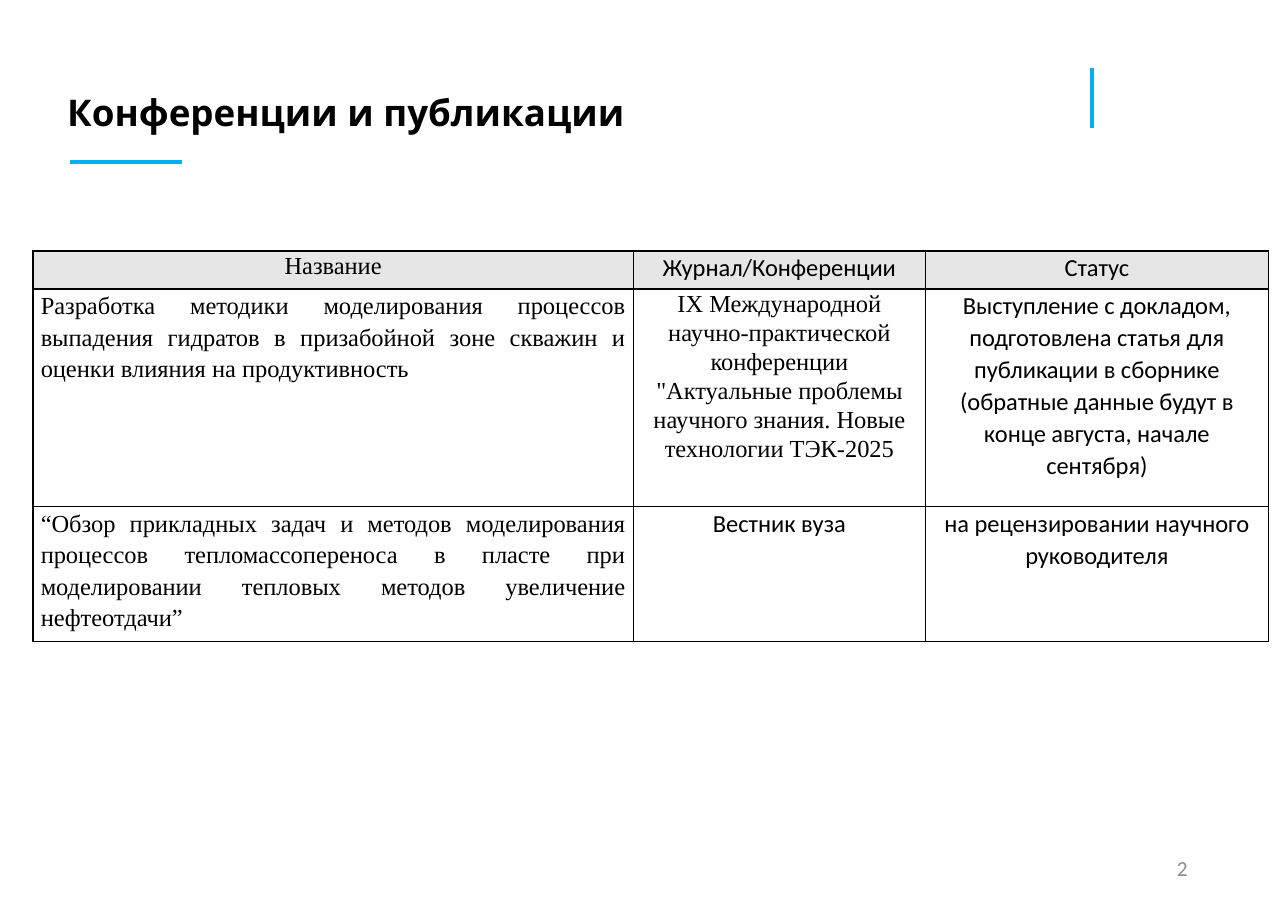
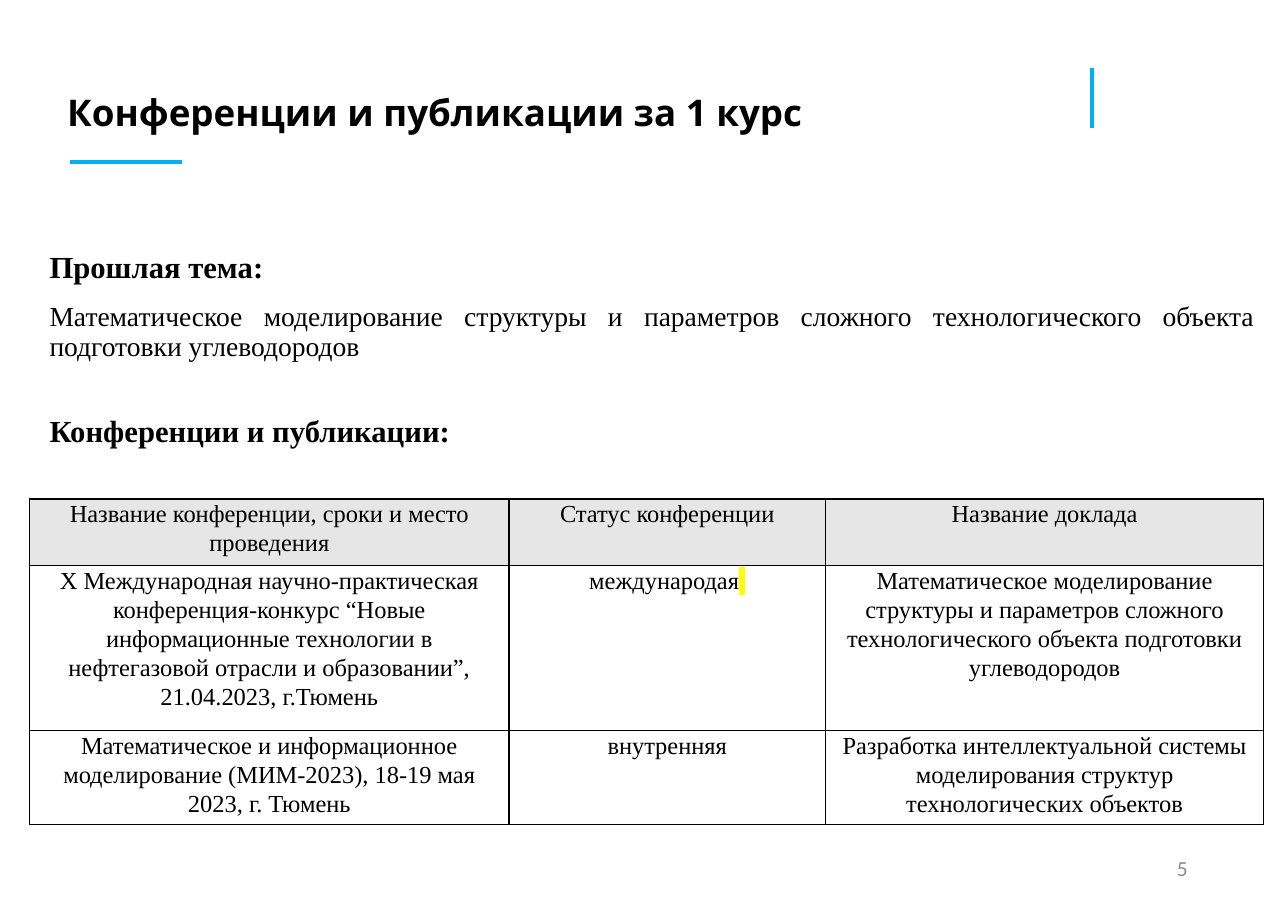
from lxml import etree
from pptx import Presentation
from pptx.dml.color import RGBColor
from pptx.enum.shapes import MSO_CONNECTOR
from pptx.enum.text import MSO_ANCHOR, PP_ALIGN
from pptx.oxml.ns import qn
from pptx.util import Inches, Pt

STRAIGHT = MSO_CONNECTOR.STRAIGHT
TOP, MIDDLE = MSO_ANCHOR.TOP, MSO_ANCHOR.MIDDLE
LEFT, CENTER, RIGHT, JUSTIFY = (
    PP_ALIGN.LEFT, PP_ALIGN.CENTER, PP_ALIGN.RIGHT, PP_ALIGN.JUSTIFY)

WIDTH, HEIGHT = Inches(11.69), Inches(8.27)
COLORS = {"text": "000000", "accent": "00B0F0", "header": "E7E6E6",
          "body": "FFFFFF", "number": "8C8C8C", "marker": "FFFF00"}
SERIF, SANS, DISPLAY = "Times New Roman", "Calibri", "Open Sans"


def style(name, size, bold=False, color="text", **para):
    """Pair the font values of a paragraph with its layout values."""
    return {"font": {"name": name, "size": Pt(size), "bold": bold},
            "color": color, "para": para}


TIGHT = {"line_spacing": 0.9, "space_before": Pt(11.4)}
CELL = {"alignment": CENTER, "line_spacing": 1.07, "space_after": Pt(8)}
TITLE = style(DISPLAY, 24, True, alignment=LEFT, **TIGHT)
HEADING = style(SERIF, 20, True, alignment=JUSTIFY, **TIGHT)
BODY = style(SERIF, 18, alignment=JUSTIFY, **TIGHT)
NUMBER = style(SANS, 14, color="number", alignment=RIGHT)
CELL_SERIF = style(SERIF, 16, **CELL)
CELL_SANS = style(SANS, 16, **CELL)
CELL_TOPIC = style(SERIF, 16, alignment=JUSTIFY, line_spacing=1.15,
                   space_after=Pt(10))


def col(n):
    """Length of n columns; the slide is 100 columns wide."""
    return round(WIDTH * n / 100)


def row(n):
    """Length of n rows; the slide is 100 rows high."""
    return round(HEIGHT * n / 100)


def rgb(key):
    return RGBColor.from_string(COLORS[key])


def set_all(obj, values):
    for name, value in values.items():
        setattr(obj, name, value)


def add_run(p, text, fmt):
    r = p.add_run()
    r.text = text
    set_all(r.font, fmt["font"])
    r.font.color.rgb = rgb(fmt["color"])
    return r


def write(tf, paragraphs):
    """Fill a text frame with (text, style) paragraphs."""
    for i, (text, fmt) in enumerate(paragraphs):
        p = tf.paragraphs[0] if i == 0 else tf.add_paragraph()
        set_all(p, fmt["para"])
        add_run(p, text, fmt)


def highlight(r, key):
    mark = etree.Element(qn("a:highlight"))
    etree.SubElement(mark, qn("a:srgbClr"), val=COLORS[key])
    r.font._element.find(qn("a:solidFill")).addnext(mark)


def add_text(s, x, y, w, h, paragraphs, anchor=TOP):
    tf = s.shapes.add_textbox(col(x), row(y), col(w), row(h)).text_frame
    set_all(tf, {"word_wrap": True, "vertical_anchor": anchor,
                 "margin_left": Inches(0.11), "margin_right": Inches(0.11),
                 "margin_top": Inches(0.06), "margin_bottom": Inches(0.06)})
    write(tf, paragraphs)


def add_rule(s, x1, y1, x2, y2, weight):
    sp = s.shapes.add_connector(STRAIGHT, col(x1), row(y1), col(x2), row(y2))
    sp.line.color.rgb = rgb("accent")
    sp.line.width = Pt(weight)
    etree.SubElement(sp._element.spPr, qn("a:effectLst"))


def set_borders(cell):
    props = cell._tc.get_or_add_tcPr()
    for i, side in enumerate(("lnL", "lnR", "lnT", "lnB")):
        ln = etree.Element(qn(f"a:{side}"), w=str(Pt(1)))
        fill = etree.SubElement(ln, qn("a:solidFill"))
        etree.SubElement(fill, qn("a:srgbClr"), val=COLORS["text"])
        props.insert(i, ln)


def add_table(s, x, y, widths, heights, rows):
    """Add a bordered table of (text, style) cells under a grey header."""
    table = s.shapes.add_table(len(heights), len(widths), col(x), row(y),
                               col(sum(widths)), row(sum(heights))).table
    set_all(table, {"first_row": False, "horz_banding": False})
    for column, w in zip(table.columns, widths):
        column.width = col(w)
    for i, (line, h) in enumerate(zip(rows, heights)):
        table.rows[i].height = row(h)
        for j, content in enumerate(line):
            cell = table.cell(i, j)
            set_all(cell, {"margin_left": Inches(0.07),
                           "margin_right": Inches(0.07),
                           "margin_top": 0, "margin_bottom": 0})
            cell.fill.solid()
            cell.fill.fore_color.rgb = rgb("body" if i else "header")
            set_borders(cell)
            write(cell.text_frame, [content])
    return table


def add_slide(prs, title, number):
    """Add a slide with the shared title, rules and page number."""
    s = prs.slides.add_slide(prs.slide_layouts[6])
    add_rule(s, 5.47, 17.78, 14.11, 17.78, 3)
    add_rule(s, 84.77, 7.5, 84.77, 14.03, 2.25)
    add_text(s, 4.28, 9.67, 61.6, 6.77, [(title, TITLE)])
    add_text(s, 70.66, 92.62, 22.5, 5.32, [(number, NUMBER)], MIDDLE)
    return s


def current_work(prs):
    s = add_slide(prs, "Конференции и публикации", "2")
    add_table(s, 2.57, 27.57, (46.6, 22.7, 26.6), (4.15, 23.9, 13.7), [
        [("Название", CELL_SERIF),
         ("Журнал/Конференции", CELL_SANS),
         ("Статус", CELL_SANS)],
        [("Разработка методики моделирования процессов выпадения гидратов "
          "в призабойной зоне скважин и оценки влияния на продуктивность",
          CELL_TOPIC),
         ("IX Международной научно-практической конференции \"Актуальные "
          "проблемы научного знания. Новые технологии ТЭК-2025", CELL_SERIF),
         ("Выступление с докладом, подготовлена статья для публикации в "
          "сборнике (обратные данные будут в конце августа, начале "
          "сентября)", CELL_SANS)],
        [("“Обзор прикладных задач и методов моделирования процессов "
          "тепломассопереноса в пласте при моделировании тепловых методов "
          "увеличение нефтеотдачи”", CELL_TOPIC),
         ("Вестник вуза", CELL_SANS),
         ("на рецензировании научного руководителя", CELL_SANS)],
    ])


def first_year(prs):
    s = add_slide(prs, "Конференции и публикации за 1 курс", "5")
    topic = ("Математическое моделирование структуры и параметров сложного "
             "технологического объекта подготовки углеводородов")
    add_text(s, 2.91, 26.96, 95.47, 12.45,
             [("Прошлая тема:", HEADING), (topic, BODY)])
    add_text(s, 2.91, 44.98, 95.47, 12.45,
             [("Конференции и публикации:", HEADING)])
    rows = [
        ["Название конференции, сроки и место проведения",
         "Статус конференции", "Название доклада"],
        ["X Международная научно-практическая конференция-конкурс “Новые "
         "информационные технологии в нефтегазовой отрасли и образовании”, "
         "21.04.2023, г.Тюмень", "международая", topic],
        ["Математическое и информационное моделирование (МИМ-2023), "
         "18-19 мая 2023, г. Тюмень", "внутренняя",
         "Разработка интеллектуальной системы моделирования структур "
         "технологических объектов"],
    ]
    table = add_table(s, 2.31, 54.78, (37.2, 24.6, 34), (7.3, 18.1, 9.65),
                      [[(text, CELL_SERIF) for text in line] for line in rows])
    status = table.cell(1, 1).text_frame.paragraphs[0]
    highlight(add_run(status, " ", CELL_SERIF), "marker")


def main():
    prs = Presentation()
    set_all(prs, {"slide_width": WIDTH, "slide_height": HEIGHT})
    current_work(prs)
    first_year(prs)
    prs.save("out.pptx")


if __name__ == "__main__":
    main()
